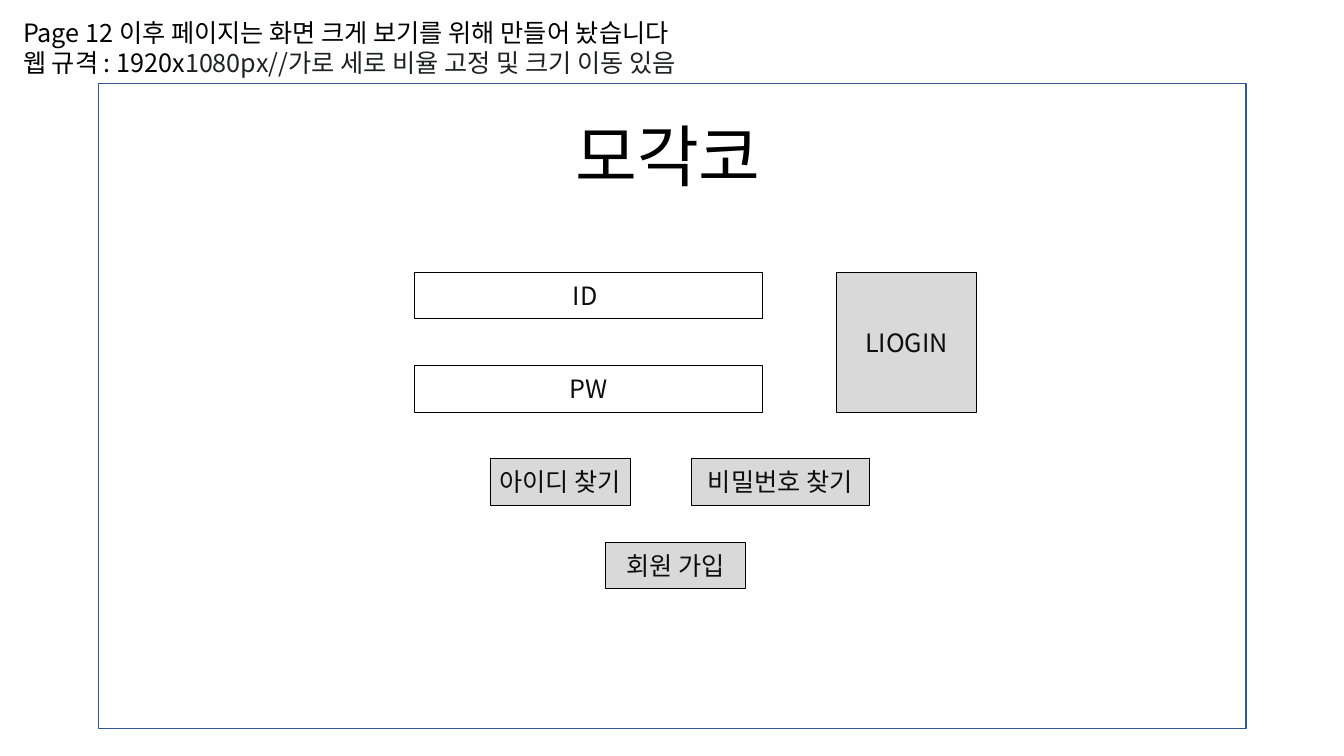
from pptx import Presentation
from pptx.dml.color import RGBColor
from pptx.enum.shapes import MSO_SHAPE as Shape
from pptx.enum.text import MSO_ANCHOR as Anchor, MSO_AUTO_SIZE as AutoSize, PP_ALIGN as Align
from pptx.oxml.ns import qn
from pptx.util import Pt

FONT = "Noto Sans CJK KR"
COLORS = {
    "white": "FFFFFF",
    "black": "000000",
    "label": "0D0D0D",
    "spec": "202124",
    "button": "D9D9D9",
    "frame": "325491",
}
ROW_TOP, ROW_PITCH, ROW_HEIGHT = 194.4, 66.6, 33.2
FIELD_LEFT, FIELD_WIDTH = 295.9, 248.4
BUTTON_WIDTH = 100


def rgb(name):
    return RGBColor.from_string(COLORS[name])


def write(para, text, size=18, color="black", align=None):
    """Append a formatted span to a paragraph."""
    para.alignment = align
    span = para.add_run()
    span.text = text
    span.font.name = FONT
    span.font.size = Pt(size)
    span.font.color.rgb = rgb(color)
    east_asian = span.font._element.makeelement(qn("a:ea"), {"typeface": FONT})
    span.font._element.find(qn("a:latin")).addnext(east_asian)


def add_text_box(page, left, top, width, height, wrap=True):
    box = page.shapes.add_textbox(Pt(left), Pt(top), Pt(width), Pt(height))
    box.text_frame.word_wrap = wrap
    box.text_frame.auto_size = AutoSize.SHAPE_TO_FIT_TEXT
    return box.text_frame


def add_panel(page, left, top, width, height, fill="white", line="black", weight=0.25):
    box = page.shapes.add_shape(Shape.RECTANGLE, Pt(left), Pt(top), Pt(width), Pt(height))
    box.shadow.inherit = False
    box.fill.solid()
    box.fill.fore_color.rgb = rgb(fill)
    box.line.color.rgb = rgb(line)
    box.line.width = Pt(weight)
    return box


def add_control(page, label, left, top, width, height=ROW_HEIGHT, fill="button"):
    """Add an input field or button with a centred label."""
    frame = add_panel(page, left, top, width, height, fill).text_frame
    frame.margin_left = frame.margin_right = frame.margin_top = frame.margin_bottom = 0
    frame.vertical_anchor = Anchor.MIDDLE
    frame.word_wrap = True
    write(frame.paragraphs[0], label, color="label", align=Align.CENTER)


def add_heading(page):
    note = add_text_box(page, 9.4, 8.6, 532, 51, wrap=False)
    write(note.paragraphs[0], "Page 12 이후 페이지는 화면 크게 보기를 위해 만들어 놨습니다")
    size_line = note.add_paragraph()
    write(size_line, "웹 규격 : 1920x")
    write(size_line, "1080px//가로 세로 비율 고정 및 크기 이동 있음", color="spec")
    title = add_text_box(page, 403.9, 77.8, 176.4, 65.5)
    write(title.paragraphs[0], "모각코", size=48)


def add_login_form(page):
    for row, label in enumerate(("ID ", "PW")):
        add_control(page, label, FIELD_LEFT, ROW_TOP + row * ROW_PITCH, FIELD_WIDTH, fill="white")
    add_control(page, "LIOGIN", 597.6, ROW_TOP, BUTTON_WIDTH, ROW_PITCH + ROW_HEIGHT)
    find_top = ROW_TOP + 2 * ROW_PITCH
    add_control(page, "아이디 찾기", 350, find_top, BUTTON_WIDTH)
    add_control(page, "비밀번호 찾기", 493.9, find_top, 127)
    add_control(page, "회원 가입", 432.5, 387.2, BUTTON_WIDTH)


def main():
    deck = Presentation()
    deck.slide_width, deck.slide_height = Pt(960), Pt(540)
    page = deck.slides.add_slide(deck.slide_layouts[6])
    add_panel(page, 70.5, 59.8, 819.4, 460.8, line="frame", weight=1)
    add_heading(page)
    add_login_form(page)
    deck.save("out.pptx")


if __name__ == "__main__":
    main()
